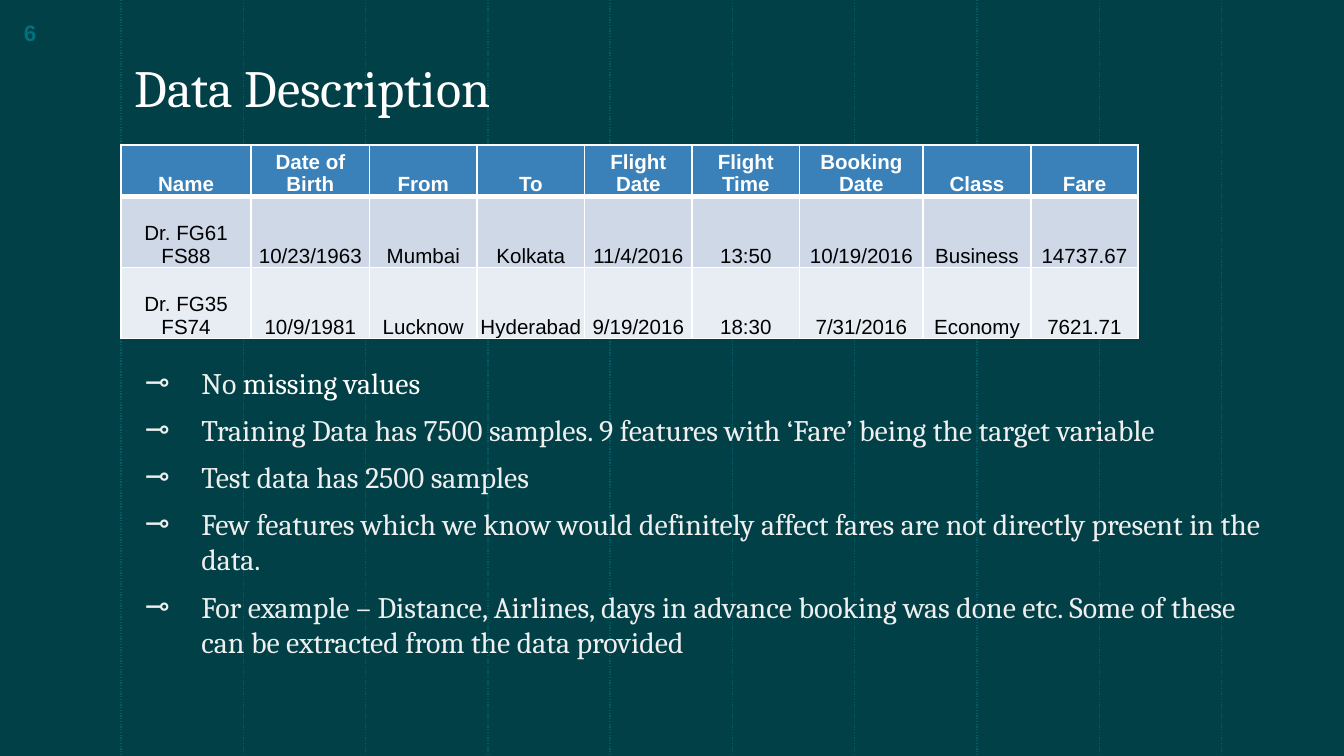
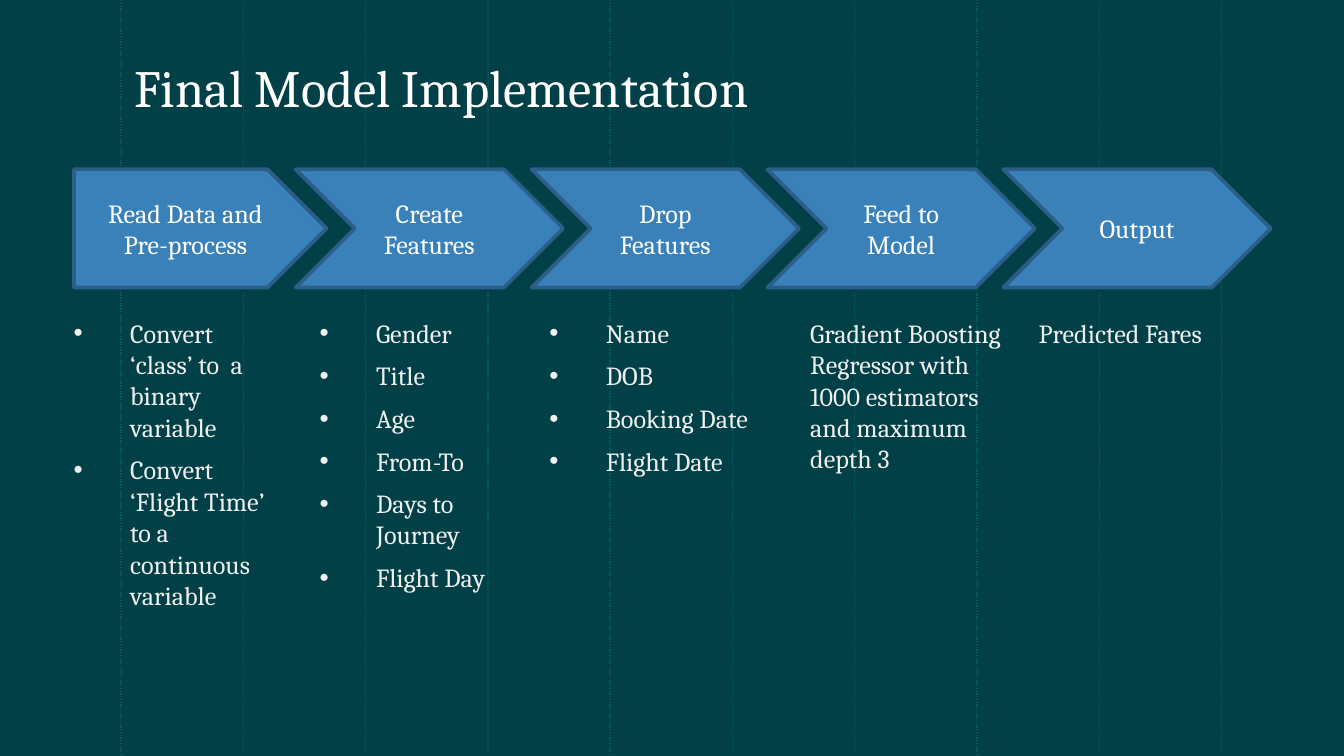
import dataclasses
import typing

import lxml.etree
import pptx
import pptx.dml.color
import pptx.enum.dml
import pptx.enum.shapes
import pptx.enum.text
import pptx.oxml.ns
import pptx.util

Inches = pptx.util.Inches
Pt = pptx.util.Pt
ALIGN = pptx.enum.text.PP_ALIGN
ANCHOR = pptx.enum.text.MSO_ANCHOR
SHAPE = pptx.enum.shapes.MSO_SHAPE

SLIDE_WIDTH = 10
SLIDE_HEIGHT = SLIDE_WIDTH * 9 / 16
SERIF = "Cambria"
SANS = "Arial"
BACKGROUND = "004046"
GUIDE = "005C65"
PAGE_NUMBER = "00727B"
BLUE = "3A81BA"
DARK_BLUE = "2B5F8A"
WHITE = "FFFFFF"
BLACK = "000000"
PALE = "EFEFEF"
ROW_FILLS = (BLUE, "CED8E7", "E8EDF3")

TABLE_WIDTHS = (0.97, 0.88, 0.8, 0.8, 0.8, 0.8, 0.92, 0.8, 0.8)
TABLE_HEIGHTS = (0.38, 0.53, 0.53)
TABLE_ROWS = (
    ("Name", "Date of Birth", "From", "To", "Flight Date", "Flight Time",
     "Booking Date", "Class", "Fare"),
    ("Dr. FG61 FS88", "10/23/1963", "Mumbai", "Kolkata", "11/4/2016", "13:50",
     "10/19/2016", "Business", "14737.67"),
    ("Dr. FG35 FS74", "10/9/1981", "Lucknow", "Hyderabad", "9/19/2016", "18:30",
     "7/31/2016", "Economy", "7621.71"),
)


class Run(typing.NamedTuple):
    text: str
    color: str


Paragraph = str | tuple[Run, ...]

FINDINGS: tuple[Paragraph, ...] = (
    (Run("No ", PALE), Run("missing values", WHITE)),
    "Training Data has 7500 samples. 9 features with ‘Fare’ being the target variable",
    "Test data has 2500 samples",
    "Few features which we know would definitely affect fares are not directly "
    "present in the data.",
    "For example – Distance, Airlines, days in advance booking was done etc. "
    "Some of these can be extracted from the data provided",
)


@dataclasses.dataclass(frozen=True)
class Stage:
    """One step of the pipeline: its arrow label and the details below it."""
    label: tuple[str, ...]
    details: tuple[str, ...]
    left: float
    width: float
    bullet: str | None = "•"


STAGES = (
    Stage(("Read Data and Pre-process",),
          ("Convert ‘class’ to  a binary variable",
           "Convert ‘Flight Time’ to a continuous variable"), 0.37, 1.7),
    Stage(("Create", "Features"),
          ("Gender", "Title", "Age", "From-To", "Days to Journey", "Flight Day"),
          2.2, 1.75),
    Stage(("Drop Features",), ("Name", "DOB", "Booking Date", "Flight Date"), 3.91, 1.93),
    Stage(("Feed to Model",),
          ("Gradient Boosting Regressor with 1000 estimators and maximum depth 3",),
          5.85, 1.72, None),
    Stage(("Output",), ("Predicted Fares",), 7.55, 1.52, None),
)


def rgb(color: str) -> pptx.dml.color.RGBColor:
    return pptx.dml.color.RGBColor.from_string(color)


def add_child(parent, tag: str, **attributes: str):
    return lxml.etree.SubElement(parent, pptx.oxml.ns.qn(tag), attributes)


def set_bullet(paragraph, bullet: str | None, indent: float, hanging: float, color: str) -> None:
    properties = paragraph._p.get_or_add_pPr()
    properties.set("marL", str(Inches(indent)))
    properties.set("indent", str(Inches(-hanging)))
    if bullet:
        add_child(add_child(properties, "a:buClr"), "a:srgbClr", val=color)
        add_child(properties, "a:buFont", typeface=SANS)
        add_child(properties, "a:buChar", char=bullet)
    else:
        add_child(properties, "a:buNone")


def write_text(frame, paragraphs: typing.Sequence[Paragraph], *, size: float,
               color: str = WHITE, font: str = SERIF, bold: bool = False,
               align=ALIGN.LEFT, anchor=ANCHOR.TOP, space_before: float = 0,
               bullet: str | None = None, indent: float = 0, hanging: float = 0,
               margins: tuple[float, float, float, float] = (0.1, 0.1, 0.1, 0.1)) -> None:
    """Fill a text frame; margins run left, top, right, bottom in inches."""
    frame.word_wrap = True
    frame.vertical_anchor = anchor
    (frame.margin_left, frame.margin_top,
     frame.margin_right, frame.margin_bottom) = map(Inches, margins)
    for index, content in enumerate(paragraphs):
        paragraph = frame.add_paragraph() if index else frame.paragraphs[0]
        paragraph.alignment = align
        paragraph.space_before = Pt(space_before)
        set_bullet(paragraph, bullet, indent, hanging, color)
        for part in (Run(content, color),) if isinstance(content, str) else content:
            run = paragraph.add_run()
            run.text = part.text
            run.font.name = font
            run.font.size = Pt(size)
            run.font.bold = bold
            run.font.color.rgb = rgb(part.color)


def add_text(slide, left: float, top: float, width: float, height: float,
             paragraphs: typing.Sequence[Paragraph], **text_format) -> None:
    box = slide.shapes.add_textbox(Inches(left), Inches(top), Inches(width), Inches(height))
    write_text(box.text_frame, paragraphs, **text_format)


def add_list(slide, left: float, top: float, width: float, height: float,
             items: typing.Sequence[Paragraph], bullet: str | None, size: float) -> None:
    indent, hanging = (0.5, 0.42) if bullet else (0.08, 0)
    add_text(slide, left, top, width, height, items, size=size, color=PALE,
             space_before=6, bullet=bullet, indent=indent, hanging=hanging)


def add_titled_slide(presentation, layout, title: str):
    slide = presentation.slides.add_slide(layout)
    shape = slide.shapes.title
    shape.left, shape.top, shape.width, shape.height = map(Inches, (0.9, 0.2, 5.65, 0.78))
    write_text(shape.text_frame, (title,), size=28, anchor=ANCHOR.BOTTOM)
    shape.text_frame.auto_size = pptx.enum.text.MSO_AUTO_SIZE.NONE
    return slide


def add_guides(slide, layout) -> None:
    """Draw the dotted guides and hand them to the layout, so every slide shows them."""
    for index in range(10):
        x = Inches(0.9 + 0.91 * index)
        guide = slide.shapes.add_connector(
            pptx.enum.shapes.MSO_CONNECTOR.STRAIGHT, x, 0, x, Inches(SLIDE_HEIGHT))
        guide.line.color.rgb = rgb(GUIDE)
        guide.line.width = Pt(0.75)
        guide.line.dash_style = pptx.enum.dml.MSO_LINE.ROUND_DOT
        add_child(guide.element.spPr, "a:effectLst")
        layout.shapes.element.append(guide.element)


def set_borders(cell, bottom_width: float) -> None:
    properties = cell._tc.get_or_add_tcPr()
    sides = (("a:lnL", 1), ("a:lnR", 1), ("a:lnT", 1), ("a:lnB", bottom_width))
    for position, (tag, width) in enumerate(sides):
        line = add_child(properties, tag, w=str(Pt(width)))
        add_child(add_child(line, "a:solidFill"), "a:srgbClr", val=WHITE)
        properties.insert(position, line)


def add_flight_table(slide) -> None:
    table = slide.shapes.add_table(
        len(TABLE_ROWS), len(TABLE_WIDTHS), Inches(0.9), Inches(1.08),
        Inches(sum(TABLE_WIDTHS)), Inches(sum(TABLE_HEIGHTS))).table
    for column, width in zip(table.columns, TABLE_WIDTHS):
        column.width = Inches(width)
    for row_index, (row, height) in enumerate(zip(table.rows, TABLE_HEIGHTS)):
        row.height = Inches(height)
        is_header = row_index == 0
        for cell, text in zip(row.cells, TABLE_ROWS[row_index]):
            cell.fill.solid()
            cell.fill.fore_color.rgb = rgb(ROW_FILLS[row_index])
            set_borders(cell, 3 if is_header else 1)
            write_text(cell.text_frame, (text,), size=11, font=SANS, bold=is_header,
                       color=WHITE if is_header else BLACK, align=ALIGN.CENTER)
            cell.vertical_anchor = ANCHOR.BOTTOM
            (cell.margin_left, cell.margin_top,
             cell.margin_right, cell.margin_bottom) = map(Inches, (0.01, 0.01, 0.01, 0))


def add_stage_arrow(slide, index: int, label: typing.Sequence[str]) -> None:
    if index == 0:
        kind, left, width = SHAPE.PENTAGON, 0.55, 1.88
    else:
        kind, left, width = SHAPE.CHEVRON, 2.2 + 1.755 * (index - 1), 1.99
    arrow = slide.shapes.add_shape(kind, Inches(left), Inches(1.26), Inches(width), Inches(0.88))
    arrow.shadow.inherit = False
    arrow.fill.solid()
    arrow.fill.fore_color.rgb = rgb(BLUE)
    arrow.line.color.rgb = rgb(DARK_BLUE)
    arrow.line.width = Pt(2)
    write_text(arrow.text_frame, label, size=14, align=ALIGN.CENTER,
               anchor=ANCHOR.MIDDLE, margins=(0.1, 0.05, 0.1, 0.05))


def build_data_slide(presentation, layout) -> None:
    slide = add_titled_slide(presentation, layout, "Data Description")
    add_guides(slide, layout)
    add_text(slide, 0.08, 0.05, 0.6, 0.38, ("6",), size=12, font=SANS, bold=True,
             color=PAGE_NUMBER, anchor=ANCHOR.MIDDLE)
    add_flight_table(slide)
    add_list(slide, 0.9, 2.61, 8.61, 2.78, FINDINGS, "⊸", 16)


def build_pipeline_slide(presentation, layout) -> None:
    slide = add_titled_slide(presentation, layout, "Final Model Implementation")
    for index, stage in enumerate(STAGES):
        add_stage_arrow(slide, index, stage.label)
        add_list(slide, stage.left, 2.26, stage.width, 2.54 if stage.bullet else 2.35,
                 stage.details, stage.bullet, 14)


def main() -> None:
    presentation = pptx.Presentation()
    presentation.slide_width = Inches(SLIDE_WIDTH)
    presentation.slide_height = Inches(SLIDE_HEIGHT)
    background = presentation.slide_master.background.fill
    background.solid()
    background.fore_color.rgb = rgb(BACKGROUND)
    layout = presentation.slide_layouts.get_by_name("Title Only")
    build_data_slide(presentation, layout)
    build_pipeline_slide(presentation, layout)
    presentation.save("out.pptx")


if __name__ == "__main__":
    main()
